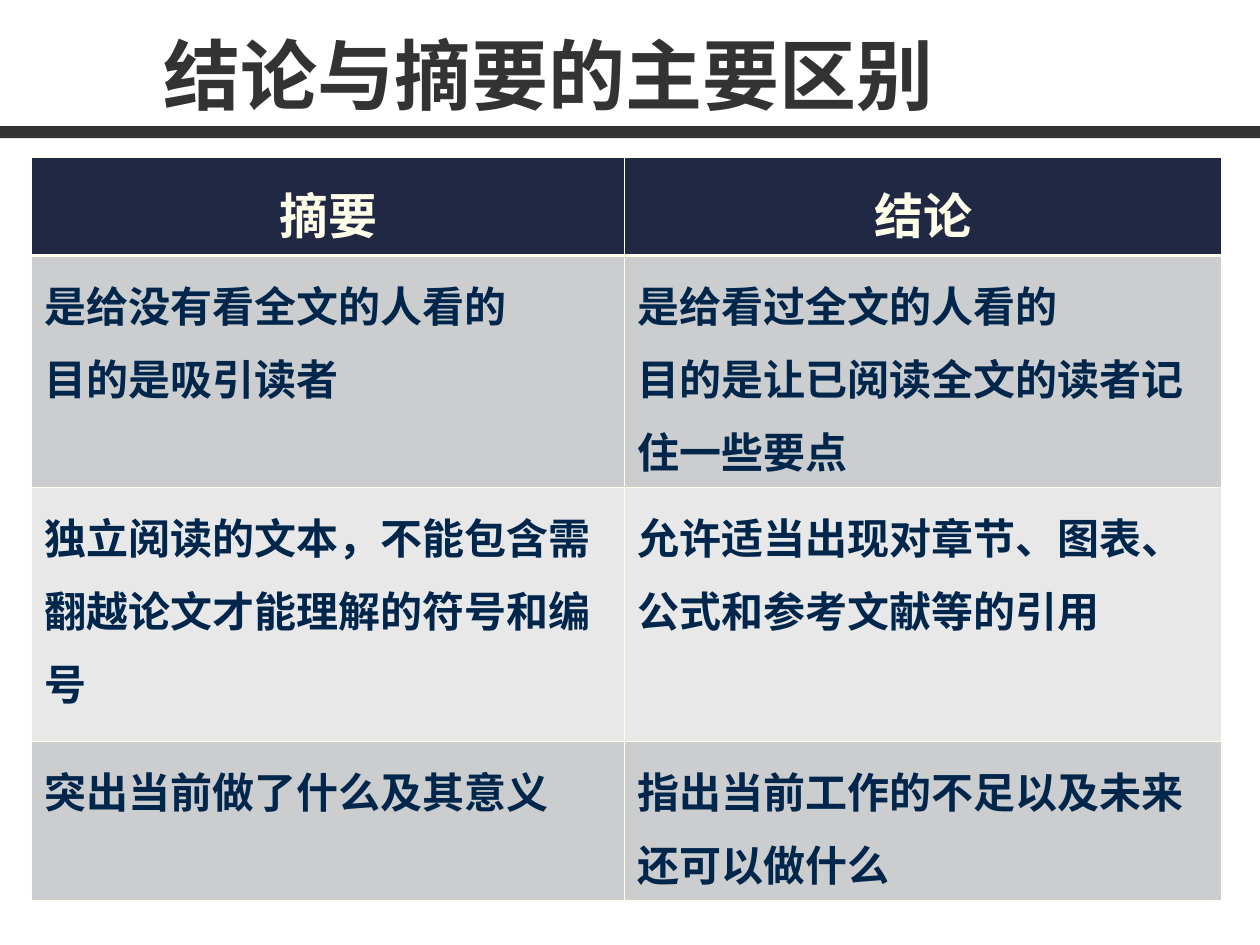
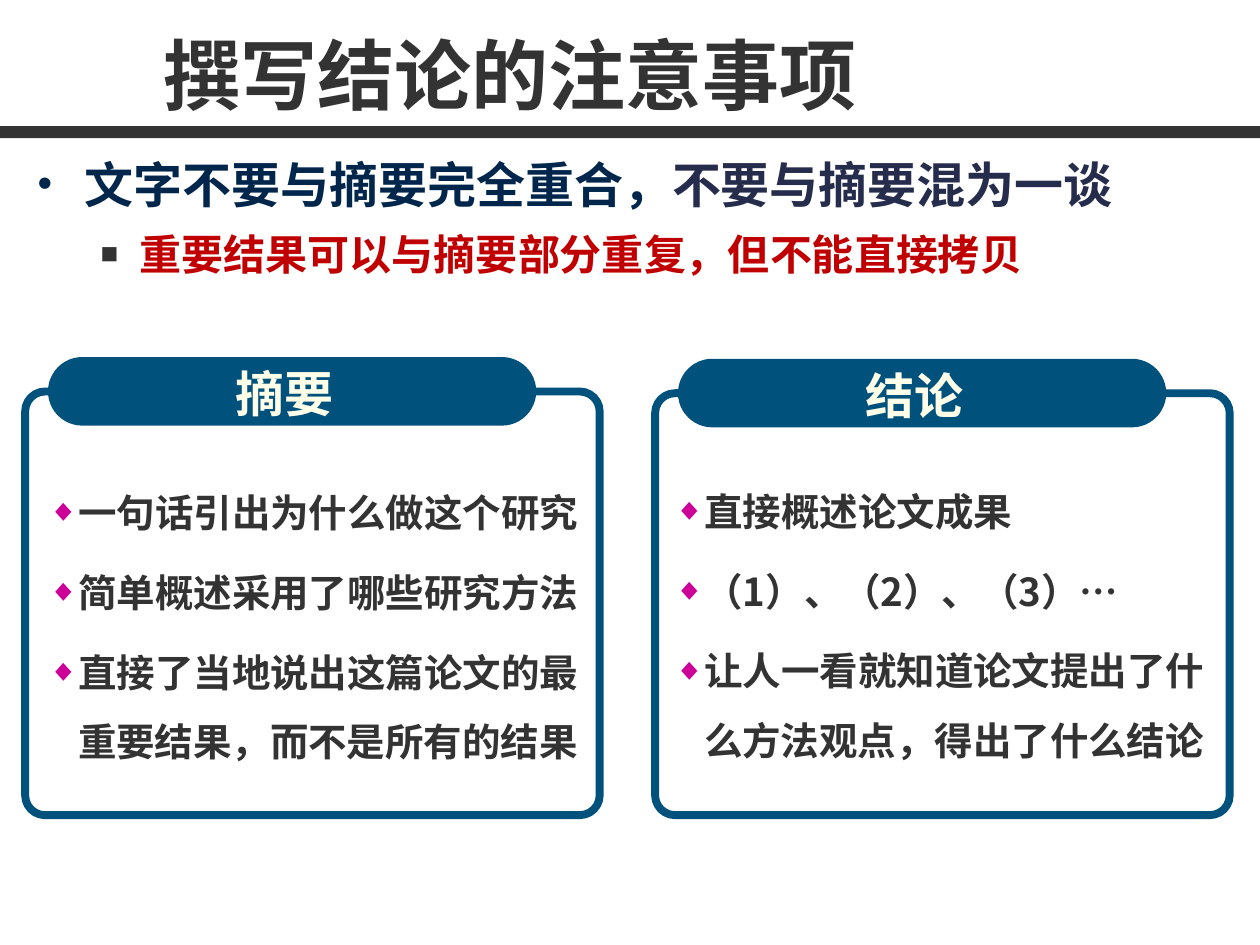
from dataclasses import dataclass

from lxml import etree
from pptx import Presentation
from pptx.dml.color import RGBColor
from pptx.enum import shapes, text
from pptx.oxml import ns
from pptx.util import Pt


@dataclass(frozen=True)
class Theme:
    font: str = "Noto Sans CJK SC"
    label_font: str = "Arial"
    dark: str = "333333"
    navy: str = "00264C"
    indigo: str = "262D4C"
    red: str = "C00000"
    blue: str = "00517C"
    magenta: str = "CC0099"
    cream: str = "FFFFE9"
    header: str = "212844"
    bands: tuple = ("CCCDCF", "E8E8E9")
    title: int = 44
    heading: int = 28
    body: int = 24
    item: int = 22


T = Theme()
WIDTH, HEIGHT = 720, 540
PANEL_BOTTOM = 465.8

TABLE_TITLE = "结论与摘要的主要区别"
HEADERS = ["摘要", "结论"]
ROWS = [
    (["是给没有看全文的人看的", "目的是吸引读者"],
     ["是给看过全文的人看的", "目的是让已阅读全文的读者记住一些要点"]),
    (["独立阅读的文本，不能包含需翻越论文才能理解的符号和编号"],
     ["允许适当出现对章节、图表、公式和参考文献等的引用"]),
    (["突出当前做了什么及其意义"],
     ["指出当前工作的不足以及未来还可以做什么"]),
]
COLUMN_WIDTHS = [339, 341]
ROW_HEIGHTS = [47.5, 111, 145.4, 76.3]

NOTES_TITLE = "撰写结论的注意事项"
ADVICE = [("文字不要与摘要完全重合，", T.navy), ("不要与摘要混为一谈", T.indigo)]
WARNING = "重要结果可以与摘要部分重复，但不能直接拷贝"
PANELS = [  # heading, left, top, left of the list, top of the list, items
    ("摘要", 14.4, 204, 20.2, 262.8,
     ["一句话引出为什么做这个研究", "简单概述采用了哪些研究方法",
      "直接了当地说出这篇论文的最重要结果，而不是所有的结果"]),
    ("结论", 374.4, 205, 378, 262.1,
     ["直接概述论文成果", "（1）、（2）、（3）…",
      "让人一看就知道论文提出了什么方法观点，得出了什么结论"]),
]


def rgb(code):
    return RGBColor.from_string(code)


def sub(parent, tag, **attrs):
    return etree.SubElement(parent, ns.qn(tag), attrs)


def add_run(p, words, size, color, font=T.font):
    r = p.add_run()
    r.text = words
    r.font.name = font
    sub(r.font._element, "a:ea", typeface=T.font)
    r.font.size, r.font.bold = Pt(size), True
    r.font.color.rgb = rgb(color)


def next_paragraph(tf, index):
    return tf.paragraphs[0] if index == 0 else tf.add_paragraph()


def set_bullet(p, char, color, percent, margin, hang):
    pPr = p._p.get_or_add_pPr()
    pPr.set("marL", str(Pt(margin)))
    pPr.set("indent", str(Pt(-hang)))
    sub(sub(pPr, "a:buClr"), "a:srgbClr", val=color)
    sub(pPr, "a:buSzPct", val=str(percent * 1000))
    sub(pPr, "a:buFont", typeface=T.label_font)
    sub(pPr, "a:buChar", char=char)


def add_text_frame(holder, x, y, w, h):
    tf = holder.add_textbox(Pt(x), Pt(y), Pt(w), Pt(h)).text_frame
    tf.word_wrap = True
    return tf


def add_box(holder, kind, x, y, w, h, fill=None, line=None, adj=None):
    sp = holder.add_shape(kind, Pt(x), Pt(y), Pt(w), Pt(h))
    sp.shadow.inherit = False
    if adj is not None:
        sp.adjustments[0] = adj
    if fill:
        sp.fill.solid()
        sp.fill.fore_color.rgb = rgb(fill)
    else:
        sp.fill.background()
    if line:
        sp.line.color.rgb = rgb(line)
        sp.line.width = Pt(4.5)
    else:
        sp.line.fill.background()


def add_titled_slide(prs, title):
    s = prs.slides.add_slide(prs.slide_layouts[5])
    add_box(s.shapes, shapes.MSO_SHAPE.RECTANGLE, 0, 72, WIDTH, 7, fill=T.dark)
    sp = s.shapes.title
    sp.left, sp.top, sp.width, sp.height = Pt(86.4), Pt(12.2), Pt(622), Pt(59.8)
    tf = sp.text_frame
    tf.auto_size = text.MSO_AUTO_SIZE.NONE
    tf.vertical_anchor = text.MSO_ANCHOR.BOTTOM
    p = tf.paragraphs[0]
    p.alignment = text.PP_ALIGN.LEFT
    add_run(p, title, T.title, T.dark)
    return s


def set_borders(cell, top, bottom):
    tcPr = cell._tc.get_or_add_tcPr()
    widths = [("a:lnL", 0.45), ("a:lnR", 0.45), ("a:lnT", top), ("a:lnB", bottom)]
    for tag, width in widths:
        ln = sub(tcPr, tag, w=str(Pt(width)))
        sub(sub(ln, "a:solidFill"), "a:srgbClr", val=T.cream)


def fill_cell(cell, lines, row):
    is_header = row == 0
    set_borders(cell, 1.47 if row == 1 else 0.45, 1.47 if is_header else 0.45)
    cell.fill.solid()
    cell.fill.fore_color.rgb = rgb(T.header if is_header else T.bands[(row - 1) % 2])
    for i, words in enumerate(lines):
        p = next_paragraph(cell.text_frame, i)
        p.line_spacing = 1.2
        if is_header:
            p.alignment = text.PP_ALIGN.CENTER
            add_run(p, words, T.heading, T.cream)
        else:
            add_run(p, words, T.body, T.navy)


def build_comparison(prs):
    s = add_titled_slide(prs, TABLE_TITLE)
    rows = [[[h] for h in HEADERS], *ROWS]
    table = s.shapes.add_table(
        len(rows), len(HEADERS), Pt(18), Pt(90.2),
        Pt(sum(COLUMN_WIDTHS)), Pt(sum(ROW_HEIGHTS))).table
    table.horz_banding = False
    for column, width in zip(table.columns, COLUMN_WIDTHS):
        column.width = Pt(width)
    for r, (cells, height) in enumerate(zip(rows, ROW_HEIGHTS)):
        table.rows[r].height = Pt(height)
        for c, lines in enumerate(cells):
            fill_cell(table.cell(r, c), lines, r)


def add_panel(s, heading, x, y, list_x, list_y, items):
    group = s.shapes.add_group_shape().shapes
    rounded = shapes.MSO_SHAPE.ROUNDED_RECTANGLE
    frame_y = y + 19.7
    add_box(group, rounded, x, frame_y, 328.3, PANEL_BOTTOM - frame_y,
            line=T.blue, adj=0.047)
    add_box(group, rounded, x + 13, y, 279, 39.2, fill=T.blue, adj=0.5)
    tf = add_text_frame(group, x + 24.2, y, 247.7, 41)
    tf.vertical_anchor = text.MSO_ANCHOR.MIDDLE
    p = tf.paragraphs[0]
    p.alignment = text.PP_ALIGN.CENTER
    add_run(p, heading, T.heading, T.cream, T.label_font)

    tf = add_text_frame(s.shapes, list_x, list_y, 334, 178)
    for i, words in enumerate(items):
        p = next_paragraph(tf, i)
        set_bullet(p, "◆", T.magenta, 80, 17.3, 17.3)
        p.line_spacing = 1.5
        p.space_before = Pt(6 if i else 0)
        add_run(p, words, T.item, T.dark)


def build_notes(prs):
    s = add_titled_slide(prs, NOTES_TITLE)
    tf = add_text_frame(s.shapes, 14.4, 77.8, 696, 115)
    p = tf.paragraphs[0]
    set_bullet(p, "•", T.navy, 85, 27, 27)
    p.line_spacing = 1.2
    for words, color in ADVICE:
        add_run(p, words, T.heading, color)
    p = tf.add_paragraph()
    p.level = 1
    set_bullet(p, "■", T.dark, 70, 58.5, 22.5)
    p.line_spacing = 1.2
    p.space_before = Pt(3)
    add_run(p, WARNING, T.body, T.red)
    for panel in PANELS:
        add_panel(s, *panel)


def main():
    prs = Presentation()
    prs.slide_width, prs.slide_height = Pt(WIDTH), Pt(HEIGHT)
    build_comparison(prs)
    build_notes(prs)
    prs.save("out.pptx")


if __name__ == "__main__":
    main()
